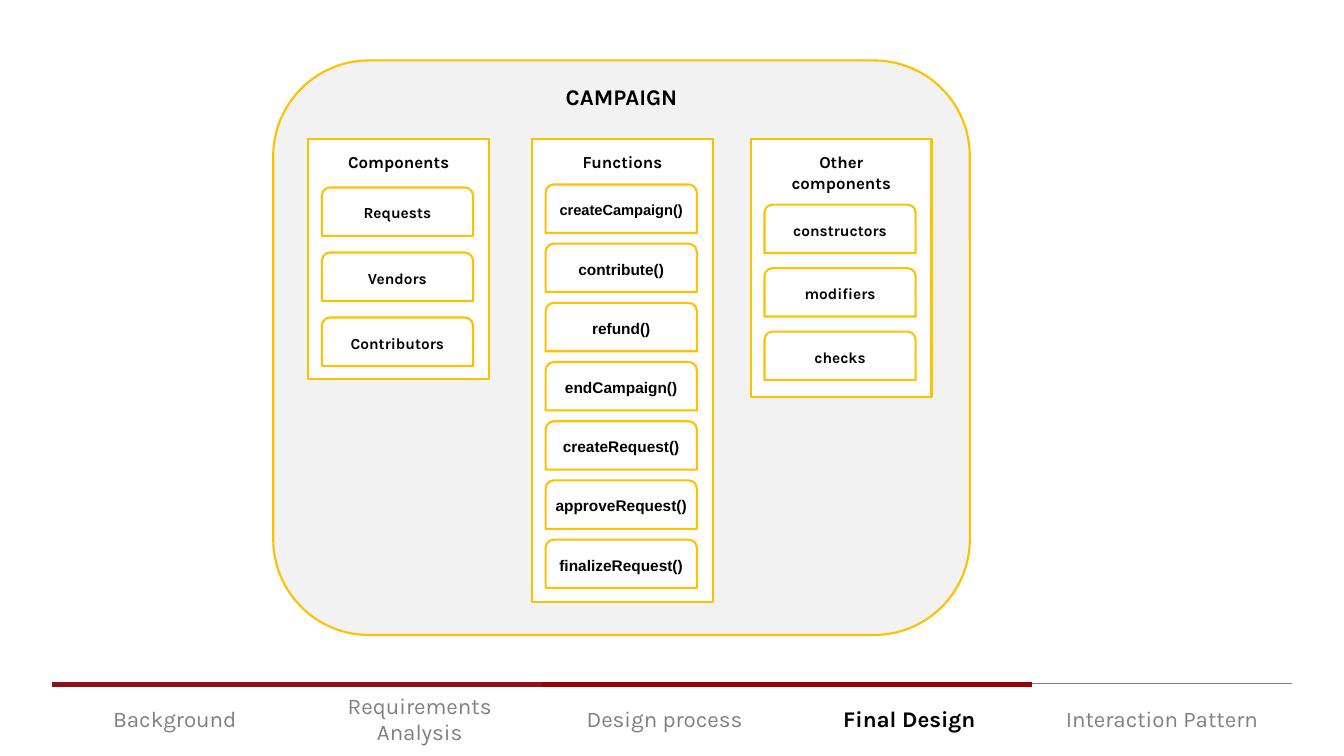
"""Build the Campaign contract slide with its section progress bar."""
from dataclasses import dataclass

from lxml.etree import SubElement
from pptx import Presentation
from pptx.dml.color import RGBColor
from pptx.enum.shapes import MSO_CONNECTOR, MSO_SHAPE
from pptx.enum.text import MSO_ANCHOR, MSO_AUTO_SIZE, PP_ALIGN
from pptx.oxml.ns import qn
from pptx.shapes.autoshape import Shape
from pptx.slide import Slide
from pptx.table import _Cell
from pptx.text.text import TextFrame
from pptx.util import Inches, Pt

COLORS = {
    "panel": "F2F2F2", "gold": "FFC000", "white": "FFFFFF", "text": "000000",
    "muted": "808080", "early": "930F1C", "late": "990000",
}
SLIDE_WIDTH, SLIDE_HEIGHT = Inches(13.33), Inches(7.5)
COLUMN, ROW = SLIDE_WIDTH / 100, SLIDE_HEIGHT / 100

CARD_TOP, CARD_WIDTH = 18.4, 13.43
CHIP_INDENT, CHIP_WIDTH, CHIP_HEIGHT = 1, 11.25, 6.4
BAR_LEFT, BAR_TOP, BAR_WIDTH, BAR_HEIGHT = 3.9, 90.53, 92.25, 9.47
STAGE_WIDTH = 18.22


@dataclass(frozen=True)
class Box:
    """A rectangle in grid columns and rows."""
    left: float
    top: float
    width: float
    height: float

    def emu(self) -> tuple[int, int, int, int]:
        """Return the rectangle in slide units."""
        return (round(self.left * COLUMN), round(self.top * ROW),
                round(self.width * COLUMN), round(self.height * ROW))


@dataclass(frozen=True)
class Card:
    """A titled column of evenly spaced chips."""
    heading: str
    left: float
    height: float
    first_chip: float
    pitch: float
    chips: tuple[str, ...]
    chip_font: str = "Karla"


@dataclass(frozen=True)
class Stage:
    """A section in the progress bar."""
    label: str
    border: str | None
    current: bool = False


CARDS = (
    Card("Components", 22.95, 31.73, 24.8, 8.6,
         ("Requests", "Vendors", "Contributors")),
    Card("Functions", 39.6, 61.2, 24.4, 7.83,
         ("createCampaign()", "contribute()", "refund()", "endCampaign()",
          "createRequest()", "approveRequest()", "finalizeRequest()"), "Arial"),
    Card("Other components", 55.88, 34.13, 27.07, 8.4,
         ("constructors", "modifiers", "checks")),
)
STAGES = (
    Stage("Background", "early"),
    Stage("Requirements Analysis", "early"),
    Stage("Design process", "late"),
    Stage("Final Design", "late", current=True),
    Stage("Interaction Pattern", None),
)


def color(name: str) -> RGBColor:
    """Look up a named colour."""
    return RGBColor.from_string(COLORS[name])


def write(frame: TextFrame, text: str, size: float, font: str = "Karla",
          bold: bool = True, ink: str = "text") -> None:
    """Set one centred paragraph."""
    frame.text = text
    paragraph = frame.paragraphs[0]
    paragraph.alignment = PP_ALIGN.CENTER
    paragraph.font.name = font
    paragraph.font.size = Pt(size)
    paragraph.font.bold = bold
    paragraph.font.color.rgb = color(ink)


def add_outlined(slide: Slide, kind: MSO_SHAPE, box: Box,
                 fill: str | None = None) -> Shape:
    """Add a gold-outlined shape, filled or clear."""
    outlined = slide.shapes.add_shape(kind, *box.emu())
    outlined.shadow.inherit = False
    if fill:
        outlined.fill.solid()
        outlined.fill.fore_color.rgb = color(fill)
    else:
        outlined.fill.background()
    outlined.line.color.rgb = color("gold")
    outlined.line.width = Pt(1.5)
    return outlined


def set_insets(frame: TextFrame, side: float = 0, top: float = 0) -> None:
    """Set equal side insets and a top inset, in grid units."""
    frame.margin_left = frame.margin_right = round(side * COLUMN)
    frame.margin_top, frame.margin_bottom = round(top * ROW), 0


def add_campaign(slide: Slide) -> None:
    """Draw the panel behind the slide title."""
    panel = Box(20.33, 8, 51.83, 76)
    backdrop = add_outlined(slide, MSO_SHAPE.ROUNDED_RECTANGLE, panel, "panel")
    title = slide.shapes.title
    title.element.addprevious(backdrop.element)
    title.left, title.top, title.width, title.height = Box(
        panel.left, 10.27, panel.width, 4.93).emu()
    frame = title.text_frame
    set_insets(frame)
    frame.auto_size = MSO_AUTO_SIZE.NONE
    frame.vertical_anchor = MSO_ANCHOR.MIDDLE
    write(frame, "CAMPAIGN", 16)


def add_card(slide: Slide, card: Card) -> None:
    """Draw a card with its heading and chips."""
    body = add_outlined(slide, MSO_SHAPE.RECTANGLE,
                        Box(card.left, CARD_TOP, CARD_WIDTH, card.height), "white")
    body.text_frame.vertical_anchor = MSO_ANCHOR.TOP
    set_insets(body.text_frame, side=2.4, top=1.73)
    write(body.text_frame, card.heading, 12)
    for index, label in enumerate(card.chips):
        chip = add_outlined(slide, MSO_SHAPE.ROUND_2_SAME_RECTANGLE,
                            Box(card.left + CHIP_INDENT,
                                card.first_chip + index * card.pitch,
                                CHIP_WIDTH, CHIP_HEIGHT))
        chip.text_frame.vertical_anchor = MSO_ANCHOR.MIDDLE
        set_insets(chip.text_frame)
        write(chip.text_frame, label, 10.5 if label == "createCampaign()" else 11,
              card.chip_font)


def set_borders(cell: _Cell, top: str | None) -> None:
    """Clear the cell's borders, except for a coloured top."""
    properties = cell._tc.get_or_add_tcPr()
    for side in ("lnL", "lnR", "lnT", "lnB"):
        border = SubElement(properties, qn(f"a:{side}"))
        if side == "lnT" and top:
            border.set("w", str(Pt(4.5)))
            fill = SubElement(border, qn("a:solidFill"))
            SubElement(fill, qn("a:srgbClr"), val=COLORS[top])
        else:
            border.set("w", "0")
            SubElement(border, qn("a:noFill"))


def add_progress(slide: Slide) -> None:
    """Draw the progress line and the table of stages."""
    left, top, width, height = Box(BAR_LEFT, BAR_TOP, BAR_WIDTH, BAR_HEIGHT).emu()
    track_y = round(90.4 * ROW)
    track = slide.shapes.add_connector(
        MSO_CONNECTOR.STRAIGHT, left, track_y, left + width, track_y)
    track.line.color.rgb = color("muted")
    track.line.width = Pt(0.75)
    SubElement(track.element.spPr, qn("a:effectLst"))

    stages = slide.shapes.add_table(1, len(STAGES), left, top, width, height).table
    stages.first_row = stages.horz_banding = False
    last_width = BAR_WIDTH - STAGE_WIDTH * (len(STAGES) - 1)
    for index, stage in enumerate(STAGES):
        is_last = index == len(STAGES) - 1
        stages.columns[index].width = round(
            (last_width if is_last else STAGE_WIDTH) * COLUMN)
        cell = stages.cell(0, index)
        set_borders(cell, stage.border)
        cell.fill.background()
        cell.vertical_anchor = MSO_ANCHOR.MIDDLE
        write(cell.text_frame, stage.label, 16, bold=stage.current,
              ink="text" if stage.current else "muted")


def main() -> None:
    """Assemble and save the slide."""
    deck = Presentation()
    deck.slide_width, deck.slide_height = SLIDE_WIDTH, SLIDE_HEIGHT
    slide = deck.slides.add_slide(deck.slide_layouts[5])
    add_progress(slide)
    add_campaign(slide)
    for card in CARDS:
        add_card(slide, card)
    deck.save("out.pptx")


if __name__ == "__main__":
    main()
